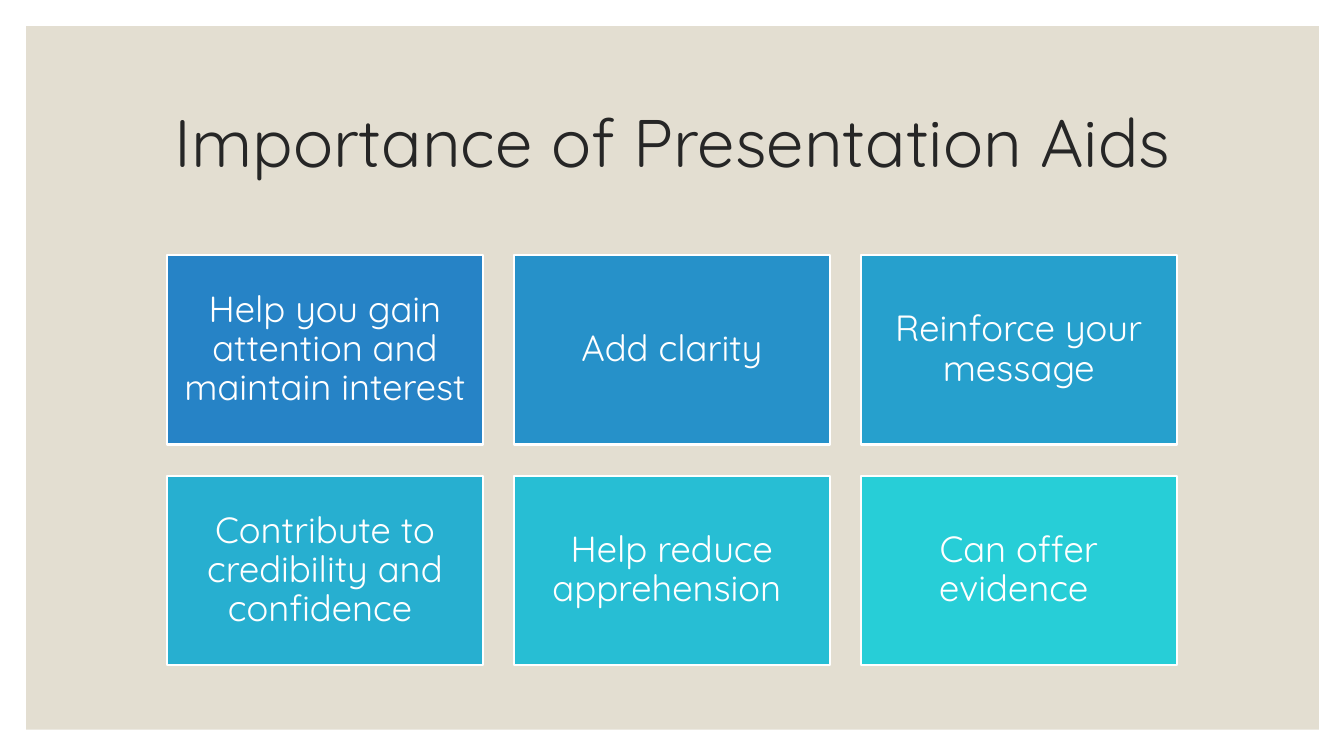
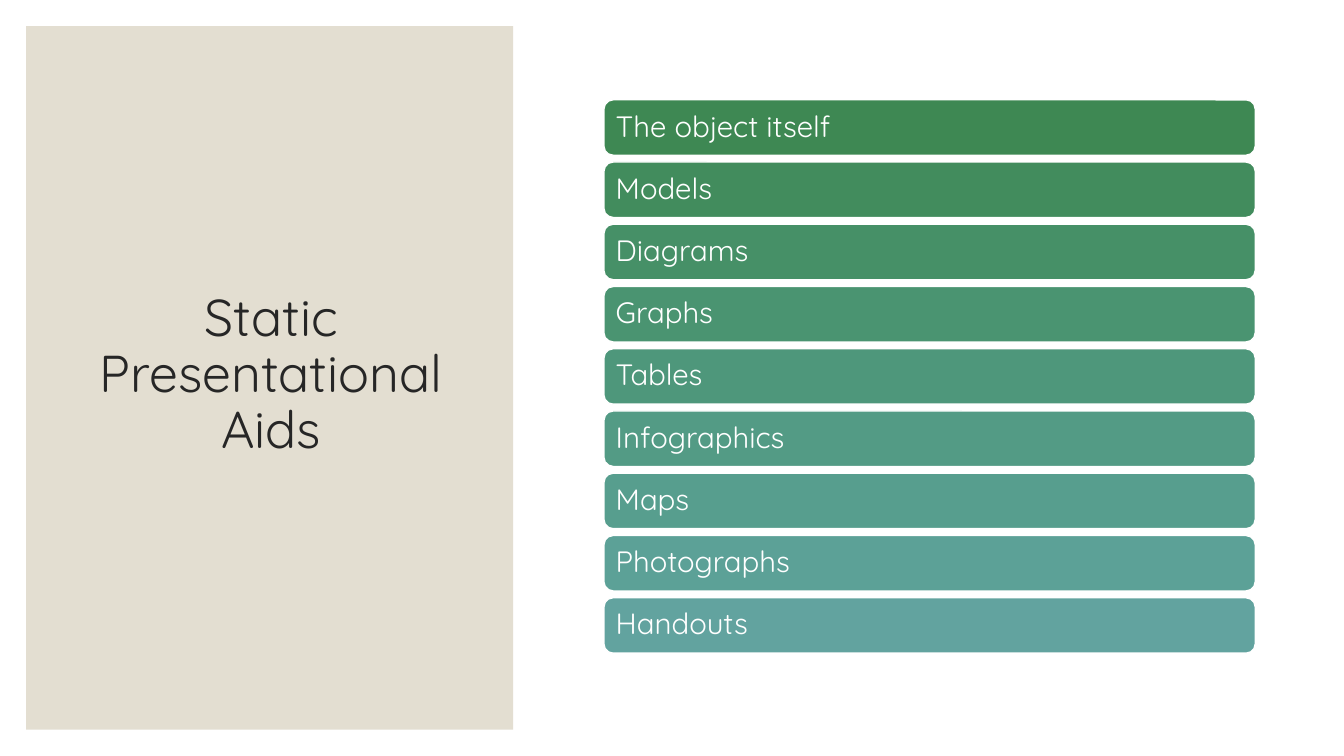
from pptx import Presentation
from pptx.dml.color import RGBColor
from pptx.enum.shapes import MSO_SHAPE as Preset
from pptx.enum.text import MSO_ANCHOR as Anchor, PP_ALIGN as Align
from pptx.util import Inches, Pt

FONT = "Quicksand"
WHITE, SAND, INK = "FFFFFF", "E3DED1", "262626"
MARGIN = 0.26
PANEL_HEIGHT = 6.98

IMPORTANCE = [
    ("Help you gain attention and maintain interest", "2683C6"),
    ("Add clarity", "2691C9"),
    ("Reinforce your message", "26A0CD"),
    ("Contribute to credibility and confidence ", "27AFD0"),
    ("Help reduce apprehension ", "27BED4"),
    ("Can offer evidence ", "27CED7"),
]
STATIC_AIDS = [
    ("The object itself", "3E8853"),
    ("Models", "428C5D"),
    ("Diagrams", "469067"),
    ("Graphs", "4A9471"),
    ("Tables", "4E977B"),
    ("Infographics", "539B85"),
    ("Maps", "579E8E"),
    ("Photographs", "5CA197"),
    ("Handouts", "62A39F"),
]


def rgb(value):
    return RGBColor.from_string(value)


def write(shape, text, size, color, align):
    frame = shape.text_frame
    frame.word_wrap = True
    frame.vertical_anchor = Anchor.MIDDLE
    frame.text = text
    paragraph = frame.paragraphs[0]
    paragraph.alignment = align
    paragraph.line_spacing = 0.9
    font = paragraph.runs[0].font
    font.name, font.size = FONT, Pt(size)
    font.color.rgb = rgb(color)


def add_box(slide, preset, left, top, width, height, fill, line_width=0):
    """Add a filled shape, with a white outline if line_width is given."""
    shape = slide.shapes.add_shape(
        preset, Inches(left), Inches(top), Inches(width), Inches(height))
    shape.shadow.inherit = False
    shape.fill.solid()
    shape.fill.fore_color.rgb = rgb(fill)
    if line_width:
        shape.line.color.rgb = rgb(WHITE)
        shape.line.width = Pt(line_width)
    else:
        shape.line.fill.background()
    return shape


def set_insets(shape, inset):
    frame = shape.text_frame
    frame.margin_left = frame.margin_right = Inches(inset)
    frame.margin_top = frame.margin_bottom = Inches(inset)


def add_panel(slide, width):
    add_box(slide, Preset.RECTANGLE, MARGIN, MARGIN, width, PANEL_HEIGHT, SAND)


def add_title(slide, text, left, top, width, height, size):
    box = slide.shapes.add_textbox(
        Inches(left), Inches(top), Inches(width), Inches(height))
    write(box, text, size, INK, Align.CENTER)


def add_card_grid(slide, cards, columns=3):
    left, top, width, height, gap = 1.66, 2.53, 3.13, 1.88, 0.31
    for index, (text, fill) in enumerate(cards):
        row, column = divmod(index, columns)
        card = add_box(slide, Preset.RECTANGLE, left + column * (width + gap),
                       top + row * (height + gap), width, height, fill, 1.5)
        set_insets(card, 0.11)
        write(card, text, 26, WHITE, Align.CENTER)


def add_bar_list(slide, bars):
    """Stack bars at equal steps between the first and the last top."""
    first_top, last_top = 0.99, 5.93
    step = (last_top - first_top) / (len(bars) - 1)
    for index, (text, fill) in enumerate(bars):
        bar = add_box(slide, Preset.ROUNDED_RECTANGLE, 5.99,
                      first_top + index * step, 6.46, 0.55, fill, 1)
        set_insets(bar, 0.09)
        write(bar, text, 21, WHITE, Align.LEFT)


def build_importance(slide):
    add_panel(slide, 12.82)
    add_title(slide, "Importance of Presentation Aids", 1.17, 0.7, 11, 1.5, 48)
    add_card_grid(slide, IMPORTANCE)


def build_static_aids(slide):
    add_panel(slide, 4.83)
    add_title(slide, "Static Presentational Aids", 0.63, 0.61, 4.12, 6.24, 37)
    add_bar_list(slide, STATIC_AIDS)


def main():
    presentation = Presentation()
    presentation.slide_width = Inches(13.33)
    presentation.slide_height = Inches(7.5)
    blank = presentation.slide_layouts[6]
    for build in (build_importance, build_static_aids):
        build(presentation.slides.add_slide(blank))
    presentation.save("out.pptx")


if __name__ == "__main__":
    main()
